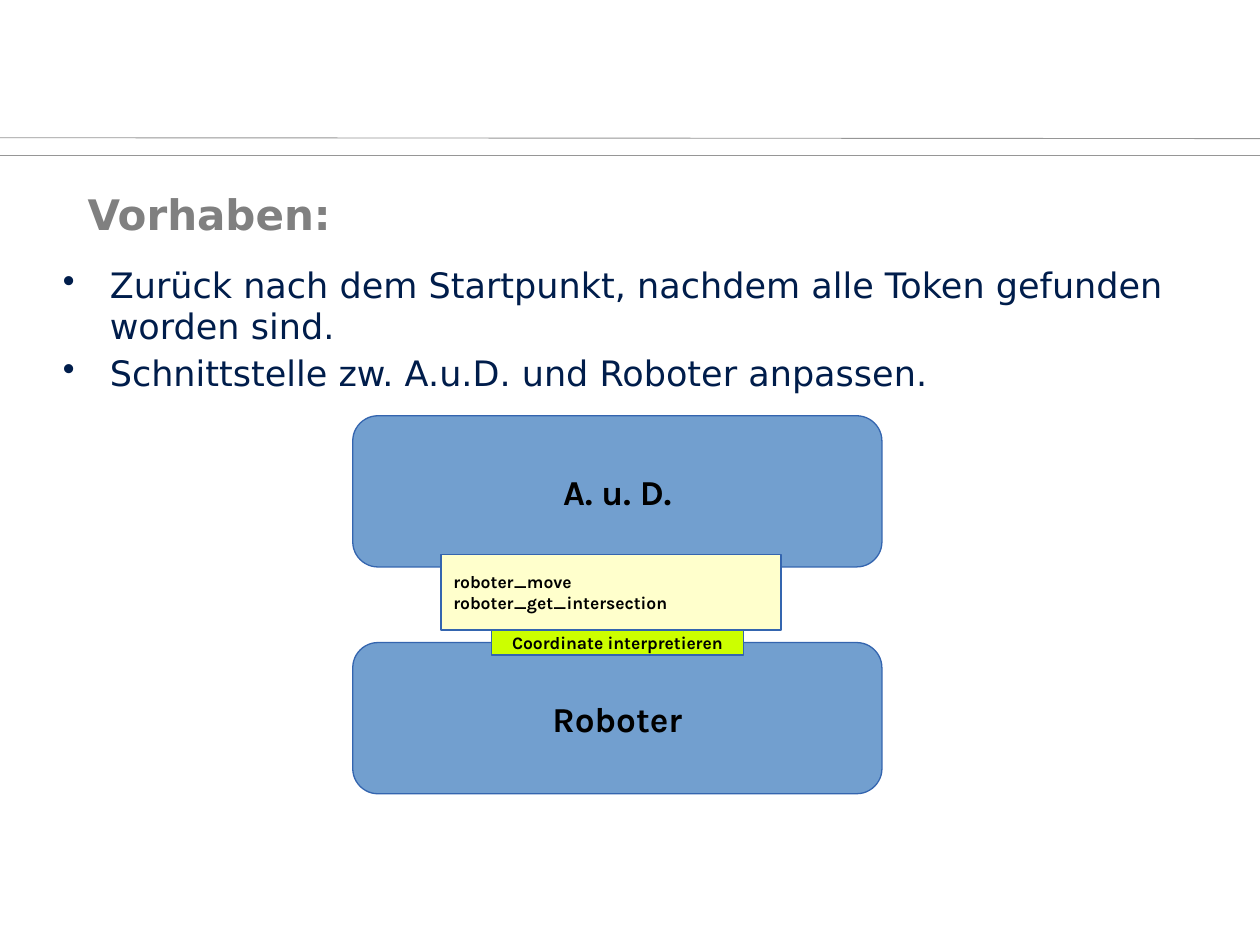
from dataclasses import dataclass

from lxml import etree
from pptx import Presentation
from pptx.dml.color import RGBColor
from pptx.enum.shapes import MSO_CONNECTOR, MSO_SHAPE
from pptx.enum.text import MSO_ANCHOR, PP_ALIGN
from pptx.oxml.ns import qn
from pptx.util import Pt

LINE = MSO_CONNECTOR.STRAIGHT
RECT, ROUND = MSO_SHAPE.RECTANGLE, MSO_SHAPE.ROUNDED_RECTANGLE
TOP, MIDDLE = MSO_ANCHOR.TOP, MSO_ANCHOR.MIDDLE
LEFT, CENTER = PP_ALIGN.LEFT, PP_ALIGN.CENTER


@dataclass(frozen=True)
class Theme:
    rule: str = "969696"
    title: str = "808080"
    body: str = "001D4B"
    ink: str = "000000"
    block: str = "729FCF"
    edge: str = "3465AF"
    note: str = "FFFFCC"
    label: str = "CCFF00"
    sans: str = "DejaVu Sans"
    shape_font: str = "Karla"
    head_size: float = 24
    text_size: float = 20
    small_size: float = 10


THEME = Theme()


def color(code):
    return RGBColor.from_string(code)


def write(frame, lines, font, size, ink, bold=False, align=LEFT,
          anchor=MIDDLE, pad=(7.2, 3.6, 7.2, 3.6)):
    left, top, right, bottom = map(Pt, pad)
    layout = {"word_wrap": True, "vertical_anchor": anchor,
              "margin_left": left, "margin_top": top,
              "margin_right": right, "margin_bottom": bottom}
    for name, value in layout.items():
        setattr(frame, name, value)
    for i, line in enumerate(lines):
        para = frame.add_paragraph() if i else frame.paragraphs[0]
        para.alignment = align
        run = para.add_run()
        run.text = line
        style = {"name": font, "size": Pt(size), "bold": bold}
        for name, value in style.items():
            setattr(run.font, name, value)
        run.font.color.rgb = color(ink)


def add_rules(slide, box):
    """Two thin lines across the page, the upper one slightly sloped."""
    left, top, width, height = box
    for start, end in ((top + height, top + height), (top, top + 0.5)):
        rule = slide.shapes.add_connector(
            LINE, Pt(left), Pt(start), Pt(left + width), Pt(end))
        rule.line.color.rgb = color(THEME.rule)
        rule.line.width = Pt(0.5)
        etree.SubElement(rule.line._get_or_add_ln().getparent(),
                         qn("a:effectLst"))


def add_title(slide, box, text):
    frame = slide.shapes.add_textbox(*map(Pt, box)).text_frame
    write(frame, [text], THEME.sans, THEME.head_size, THEME.title,
          bold=True, pad=(0, 3.6, 7.2, 3.6))


def add_list(slide, box, items):
    frame = slide.shapes.add_textbox(*map(Pt, box)).text_frame
    write(frame, items, THEME.sans, THEME.text_size, THEME.body,
          anchor=TOP, pad=(0, 0.7, 0, 0))
    indent = Pt(26.8)
    for para in frame.paragraphs:
        para.line_spacing = 0.97
        para.space_before = Pt(3.5)
        props = para._p.get_or_add_pPr()
        props.set("marL", str(indent))
        props.set("indent", str(-indent))
        tint = etree.SubElement(props, qn("a:buClr"))
        etree.SubElement(tint, qn("a:srgbClr"), val=THEME.body)
        etree.SubElement(props, qn("a:buChar"), char="•")


def add_block(slide, kind, box, fill, lines, size, align=CENTER):
    shape = slide.shapes.add_shape(kind, *map(Pt, box))
    shape.shadow.inherit = False
    shape.fill.solid()
    shape.fill.fore_color.rgb = color(fill)
    shape.line.color.rgb = color(THEME.edge)
    shape.line.width = Pt(0.75)
    write(shape.text_frame, lines, THEME.shape_font, size, THEME.ink,
          bold=True, align=align)


def add_layers(slide, box):
    """Two layers with the interface between them."""
    left, top, width, height = box
    tall = 86.4
    # Layers at the top and bottom of the box
    for y, name in ((top + height - tall, "Roboter"), (top, "A. u. D.")):
        add_block(slide, ROUND, (left, y, width, tall), THEME.block,
                  [name], THEME.text_size)
    # Interface functions, overlapping the upper layer
    note_top, note_tall = top + tall - 7.2, 43.2
    add_block(slide, RECT, (left + 50.4, note_top, 194.4, note_tall),
              THEME.note, ["roboter_move", "roboter_get_intersection"],
              THEME.small_size, LEFT)
    # Label directly below, centred on the layers
    wide = 144
    add_block(slide, RECT,
              (left + (width - wide) / 2, note_top + note_tall, wide, 14.4),
              THEME.label, ["Coordinate interpretieren"], THEME.small_size)


def main():
    deck = Presentation()
    deck.slide_width, deck.slide_height = Pt(720), Pt(540)
    slide = deck.slides.add_slide(deck.slide_layouts[6])
    add_rules(slide, (0, 78.7, 720, 9.9))
    add_list(slide, (36, 151.2, 648, 380), [
        "Zurück nach dem Startpunkt, nachdem alle Token gefunden "
        "worden sind.",
        "Schnittstelle zw. A.u.D. und Roboter anpassen."])
    add_title(slide, (50, 100.1, 591, 44), "Vorhaben:")
    add_layers(slide, (201.6, 237.6, 302.4, 216))
    deck.save("out.pptx")


if __name__ == "__main__":
    main()
